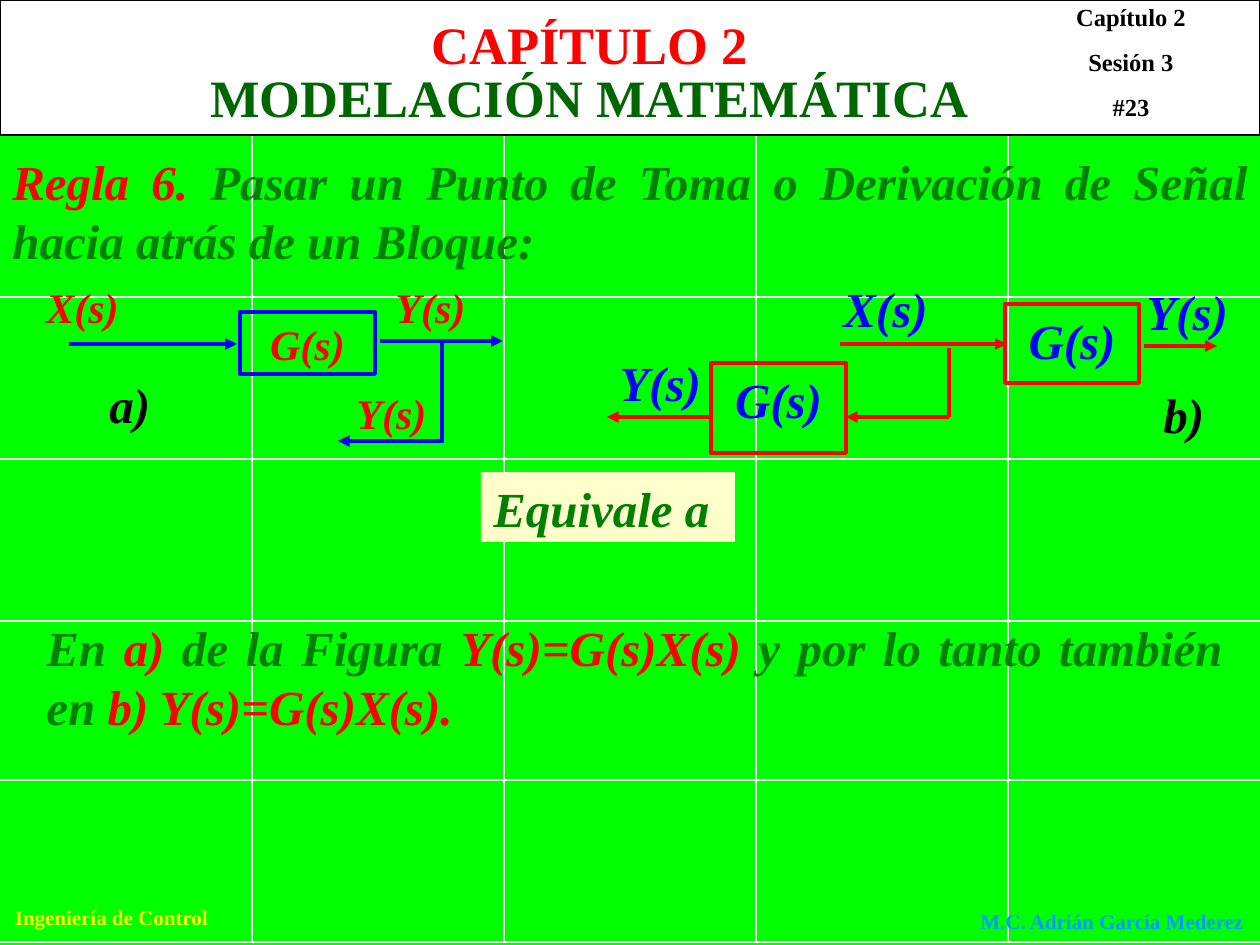
import pptx
import pptx.util
import pptx.dml.color
import pptx.enum.shapes
import pptx.enum.text
import lxml.etree

RGB = pptx.dml.color.RGBColor
WHITE = RGB(255, 255, 255)
BLACK = RGB(0, 0, 0)
RED = RGB(255, 0, 0)
BLUE = RGB(0, 0, 255)
GREEN = RGB(0, 128, 0)
DARK = RGB(0, 102, 0)
LIME = RGB(0, 255, 0)
CREAM = RGB(255, 255, 204)
YELLOW = RGB(255, 255, 0)
SKY = RGB(0, 153, 255)

ALIGN = pptx.enum.text.PP_ALIGN
LEFT, MID, FULL = ALIGN.LEFT, ALIGN.CENTER, ALIGN.JUSTIFY
RECT = pptx.enum.shapes.MSO_SHAPE.RECTANGLE
LINE = pptx.enum.shapes.MSO_CONNECTOR.STRAIGHT
PX = 914400 / 126

deck = pptx.Presentation()
deck.slide_width = pptx.util.Inches(10)
deck.slide_height = pptx.util.Inches(7.5)
slide = deck.slides.add_slide(deck.slide_layouts[6])
slide.background.fill.solid()
slide.background.fill.fore_color.rgb = LIME
shapes = slide.shapes


def block(box, paras=(), size=28, align=LEFT, before=0, slant=True,
          fill=None, edge=None, width=2.25):
    """Add a text box, or a rectangle if it has a fill or an edge.

    Each paragraph is a list of (text, colour) runs.
    """
    spot = [round(n * PX) for n in box]
    if fill is None and edge is None:
        shape = shapes.add_textbox(*spot)
    else:
        shape = shapes.add_shape(RECT, *spot)
        shape.shadow.inherit = False
        if fill is None:
            shape.fill.background()
        else:
            shape.fill.solid()
            shape.fill.fore_color.rgb = fill
        if edge is None:
            shape.line.fill.background()
        else:
            shape.line.color.rgb = edge
            shape.line.width = pptx.util.Pt(width)
    frame = shape.text_frame
    frame.word_wrap = True
    frame.vertical_anchor = pptx.enum.text.MSO_ANCHOR.TOP
    for i, runs in enumerate(paras):
        para = frame.add_paragraph() if i else frame.paragraphs[0]
        para.alignment = align
        para.space_before = pptx.util.Pt(before)
        for text, color in runs:
            run = para.add_run()
            run.text = text
            font = run.font
            font.name = "Times New Roman"
            font.size = pptx.util.Pt(size)
            font.bold = True
            font.italic = slant
            font.color.rgb = color


def wire(ends, color, width=2.25, arrow=False):
    """Add a straight line from x1, y1 to x2, y2."""
    line = shapes.add_connector(LINE, *[round(n * PX) for n in ends])
    line.line.color.rgb = color
    line.line.width = pptx.util.Pt(width)
    if arrow:
        pen = line.line._get_or_add_ln()
        tip = lxml.etree.SubElement(pen, pptx.oxml.ns.qn("a:tailEnd"))
        tip.set("type", "triangle")
    props = line._element.spPr
    lxml.etree.SubElement(props, pptx.oxml.ns.qn("a:effectLst"))


# Background grid
for x in range(252, 1260, 252):
    wire((x, 135, x, 942), WHITE, 1)
for y in (297, 459, 621, 780, 135, 942):
    wire((0, y, 1260, y), WHITE, 1)

# Header and footer
block((0, 0, 1260, 135), fill=WHITE, edge=BLACK, width=0.75)
block((0, 898, 223, 38), [[("Ingeniería de Control", YELLOW)]],
      12, MID, 7.5, False)
block((968, 902, 292, 38), [[("M.C. Adrián García Mederez", SKY)]],
      12, LEFT, 7.5, False)
block((1027, -4, 208, 132),
      [[(t, BLACK)] for t in ("Capítulo 2", "Sesión 3", "#23")],
      14, MID, 8.8, False)

block((481, 472, 254, 70), [[("Equivale a", GREEN)]], fill=CREAM)

# Diagram blocks
for box, size, color, edge in (
    ((240, 312, 135, 62), 24, RED, BLUE),
    ((1005, 304, 134, 79), 28, BLUE, RED),
    ((711, 363, 135, 90), 28, BLUE, RED),
):
    block(box, [[("G(s)", color)]], size, MID, edge=edge)

# Signal paths
for ends, color, arrow in (
    ((380, 341, 503, 341), BLUE, True),
    ((69, 344, 237, 344), BLUE, True),
    ((441, 441, 338, 441), BLUE, True),
    ((442, 443, 442, 340), BLUE, False),
    ((1144, 346, 1217, 346), RED, True),
    ((840, 344, 1007, 344), RED, True),
    ((949, 417, 846, 417), RED, True),
    ((949, 417, 949, 348), RED, False),
    ((711, 417, 607, 417), RED, True),
):
    wire(ends, color, arrow=arrow)

# Signal names
for x, y, text, size, color in (
    (383, 275, "Y(s)", 24, RED),
    (344, 381, "Y(s)", 24, RED),
    (34, 275, "X(s)", 24, RED),
    (97, 368, "a)", 28, BLACK),
    (1134, 275, "Y(s)", 28, BLUE),
    (831, 272, "X(s)", 28, BLUE),
    (607, 346, "Y(s)", 28, BLUE),
    (1151, 378, "b)", 28, BLACK),
):
    block((x, y, 117, 76), [[(text, color)]], size)

# Rule and conclusion
block((0, 145, 1260, 131), [[
    ("Regla 6.", RED),
    (" Pasar un Punto de Toma o Derivación de Señal "
     "hacia atrás de un Bloque:", GREEN),
]], align=FULL, before=17.5)
block((34, 611, 1201, 131), [[
    ("En ", GREEN),
    ("a)", RED),
    (" de la Figura ", GREEN),
    ("Y(s)=G(s)X(s)", RED),
    (" y por lo tanto también en ", GREEN),
    ("b) Y(s)=G(s)X(s).", RED),
]], align=FULL, before=17.5)

# Title
for y, text, color in ((6, "CAPÍTULO 2", RED),
                       (59, "MODELACIÓN MATEMÁTICA", DARK)):
    block((113, y, 953, 76), [[(text, color)]], 30, MID, 18.7, False)

deck.save("out.pptx")
